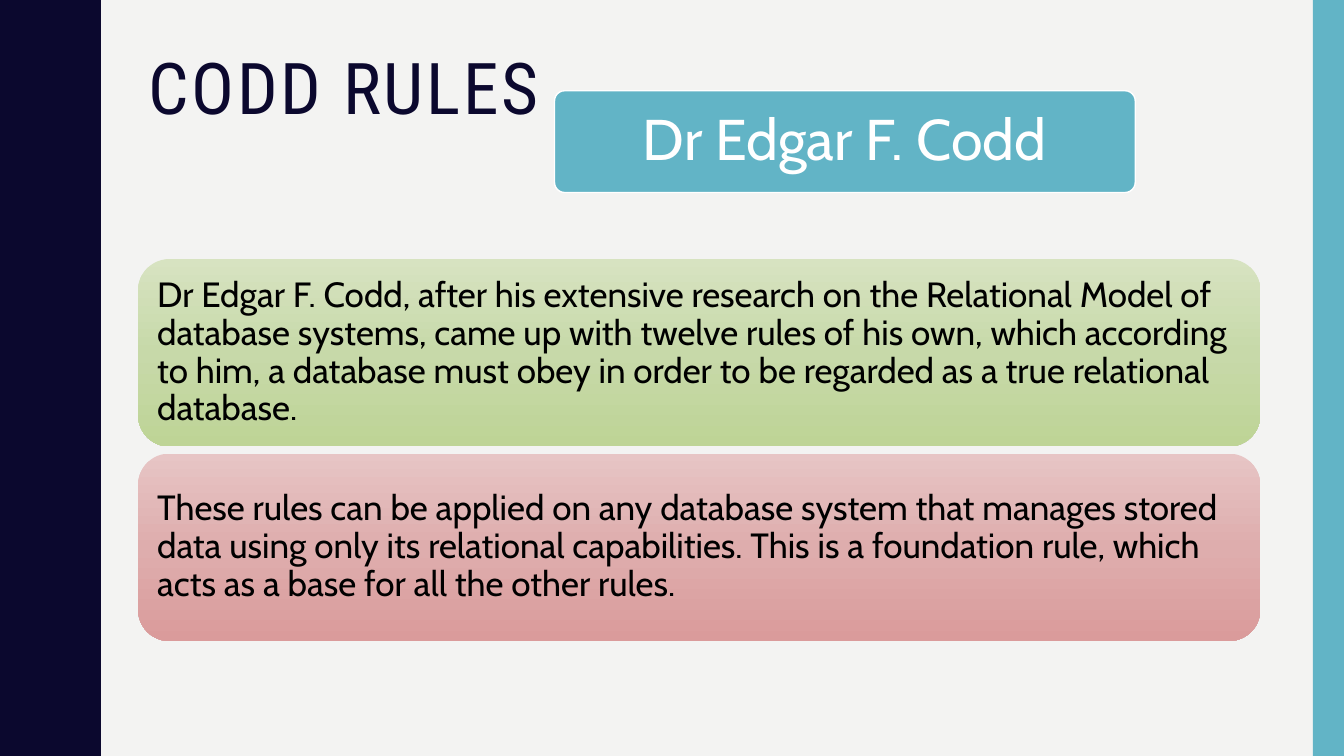
from copy import deepcopy
from dataclasses import dataclass

from pptx import Presentation
from pptx.dml.color import RGBColor
from pptx.enum.shapes import MSO_SHAPE
from pptx.enum.text import MSO_ANCHOR, MSO_AUTO_SIZE, PP_ALIGN
from pptx.oxml.ns import qn
from pptx.shapes.autoshape import Shape
from pptx.slide import Slide
from pptx.text.text import TextFrame
from pptx.util import Inches, Pt


@dataclass(frozen=True)
class Theme:
    background: str = "F3F3F2"
    navy: str = "0B082E"
    teal: str = "62B4C6"
    white: str = "FFFFFF"
    black: str = "000000"
    green: tuple[str, ...] = ("D7E3C1", "C7D9A9", "BED496")
    red: tuple[str, ...] = ("E7C5C5", "DEADAD", "DA9B9B")
    title_font: str = "Roboto Condensed"
    body_font: str = "Cabin"
    title_size: int = 51
    name_size: int = 41
    body_size: int = 25


@dataclass(frozen=True)
class Panel:
    text: str
    colors: tuple[str, ...]


THEME = Theme()
LEFT, WIDTH = 1.37, 11.13
PANEL_TOP, PANEL_HEIGHT, PANEL_PITCH = 2.57, 1.86, 1.93
WAVE_PERIOD, WAVE_COUNT = 1.5, 5
WAVE_RISE = [
    (0.78, 0), (0.78, 0.07), (0.79, 0.14), (0.8, 0.2), (0.81, 0.25),
    (0.83, 0.29), (0.85, 0.33), (0.87, 0.38), (0.89, 0.42), (0.91, 0.46),
    (0.93, 0.5), (0.95, 0.55), (0.96, 0.61), (0.97, 0.68), (0.97, 0.75),
]
PANELS = [
    Panel(
        "Dr Edgar F. Codd, after his extensive research on the Relational Model "
        "of database systems, came up with twelve rules of his own, which "
        "according to him, a database must obey in order to be regarded as a "
        "true relational database.",
        THEME.green,
    ),
    Panel(
        "These rules can be applied on any database system that manages stored "
        "data using only its relational capabilities. This is a foundation rule, "
        "which acts as a base for all the other rules.",
        THEME.red,
    ),
]


def rgb(color: str) -> RGBColor:
    return RGBColor.from_string(color)


def write(tf: TextFrame, text: str, font: str, size: int, color: str,
          align: PP_ALIGN, anchor: MSO_ANCHOR, inset: float) -> None:
    tf.word_wrap = True
    tf.auto_size = MSO_AUTO_SIZE.NONE
    tf.vertical_anchor = anchor
    tf.margin_left = tf.margin_right = Inches(inset)
    tf.margin_top = tf.margin_bottom = Inches(min(inset, 0.1))
    p = tf.paragraphs[0]
    p.alignment = align
    p.line_spacing = 0.9
    r = p.add_run()
    r.text = text
    r.font.name = font
    r.font.size = Pt(size)
    r.font.color.rgb = rgb(color)


def paint(sp: Shape, color: str) -> None:
    sp.shadow.inherit = False
    sp.fill.solid()
    sp.fill.fore_color.rgb = rgb(color)
    sp.line.fill.background()


def paint_gradient(sp: Shape, colors: tuple[str, ...]) -> None:
    sp.shadow.inherit = False
    sp.line.fill.background()
    sp.fill.gradient()
    sp.fill.gradient_angle = 270
    stops = sp._element.spPr.find(".//" + qn("a:gsLst"))
    stops.insert(1, deepcopy(stops[0]))
    for i, (stop, color) in enumerate(zip(sp.fill.gradient_stops, colors)):
        stop.color.rgb = rgb(color)
        stop.position = i / (len(colors) - 1)


def add_box(s: Slide, kind: MSO_SHAPE, left: float, top: float,
            width: float, height: float) -> Shape:
    return s.shapes.add_shape(kind, Inches(left), Inches(top), Inches(width), Inches(height))


def add_wave(s: Slide) -> None:
    fall = [(x, WAVE_PERIOD - y) for x, y in reversed(WAVE_RISE[:-1])]
    edge = [(x, y + i * WAVE_PERIOD)
            for i in range(WAVE_COUNT) for x, y in WAVE_RISE + fall]
    builder = s.shapes.build_freeform(0, 0, scale=Inches(1))
    builder.add_line_segments(edge + [(0, WAVE_PERIOD * WAVE_COUNT)], close=True)
    paint(builder.convert_to_shape(), THEME.navy)


def add_title(s: Slide) -> None:
    title = s.shapes.title
    title.left, title.top = Inches(LEFT), Inches(0.42)
    title.width, title.height = Inches(WIDTH), Inches(1.63)
    write(title.text_frame, "CODD RULES", THEME.title_font, THEME.title_size,
          THEME.navy, PP_ALIGN.LEFT, MSO_ANCHOR.TOP, 0.1)
    title.text_frame.paragraphs[0].runs[0].font._element.set("spc", "200")


def add_panel(s: Slide, panel: Panel, top: float) -> None:
    sp = add_box(s, MSO_SHAPE.ROUNDED_RECTANGLE, LEFT, top, WIDTH, PANEL_HEIGHT)
    paint_gradient(sp, panel.colors)
    write(sp.text_frame, panel.text, THEME.body_font, THEME.body_size,
          THEME.black, PP_ALIGN.LEFT, MSO_ANCHOR.MIDDLE, 0.1)


def add_name(s: Slide) -> None:
    sp = add_box(s, MSO_SHAPE.ROUNDED_RECTANGLE, 5.5, 0.9, 5.76, 1.01)
    sp.adjustments[0] = 0.1
    paint(sp, THEME.teal)
    sp.line.color.rgb = rgb(THEME.white)
    sp.line.width = Pt(1)
    write(sp.text_frame, "Dr Edgar F. Codd", THEME.body_font, THEME.name_size,
          THEME.white, PP_ALIGN.CENTER, MSO_ANCHOR.MIDDLE, 0.17)


def main() -> None:
    prs = Presentation()
    prs.slide_width, prs.slide_height = Inches(13.33), Inches(7.5)
    s = prs.slides.add_slide(prs.slide_layouts.get_by_name("Title Only"))
    s.background.fill.solid()
    s.background.fill.fore_color.rgb = rgb(THEME.background)
    add_wave(s)
    paint(add_box(s, MSO_SHAPE.RECTANGLE, 13.02, 0, 0.31, 7.5), THEME.teal)
    add_title(s)
    for i, panel in enumerate(PANELS):
        add_panel(s, panel, PANEL_TOP + i * PANEL_PITCH)
    add_name(s)
    prs.save("out.pptx")


main()
